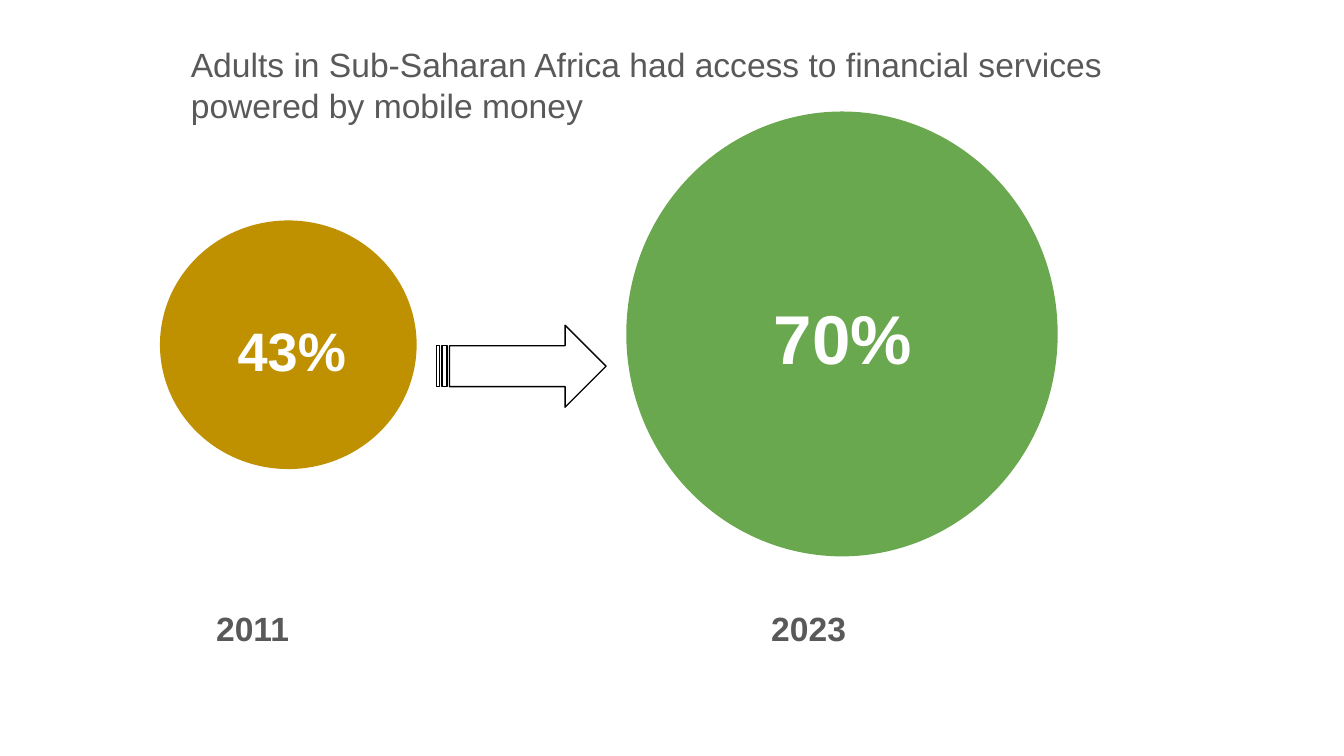
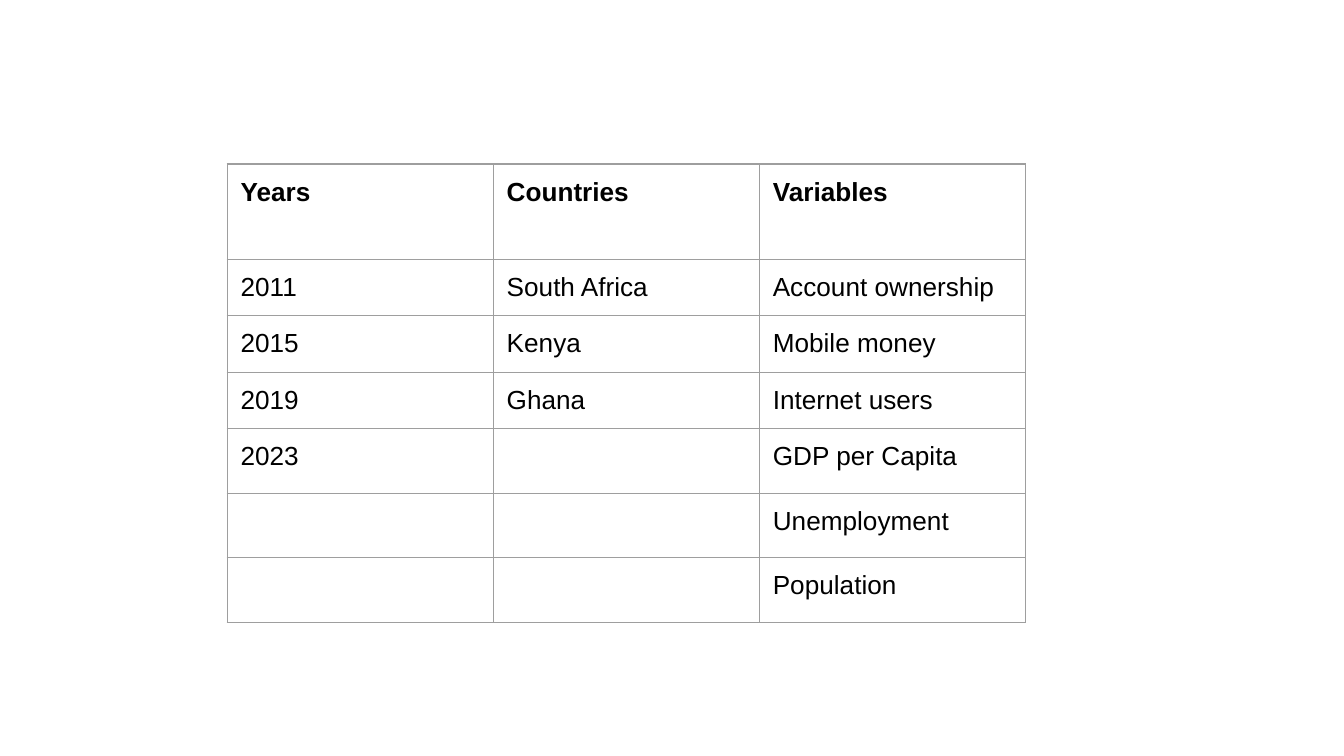
from lxml import etree
from pptx import Presentation
from pptx.dml.color import RGBColor
from pptx.enum.shapes import MSO_SHAPE as SHAPE
from pptx.enum.text import MSO_ANCHOR as ANCHOR, MSO_AUTO_SIZE as AUTO, PP_ALIGN as ALIGN
from pptx.oxml.ns import qn
from pptx.util import Inches, Pt

TITLE_ONLY, BLANK = 5, 6


def rgb(value):
    return RGBColor.from_string(value)


class Deck:
    """Holds the shared style and the current slide, and draws each kind of element."""

    font = "Arial"
    white, black, grey = "FFFFFF", "000000", "595959"
    gold, green, rule = "BF9000", "6AA84F", "9E9E9E"
    inset = Inches(0.1)
    line = Pt(0.75)

    def __init__(self):
        self.prs = Presentation()
        self.prs.slide_width = Inches(10)
        self.prs.slide_height = Inches(10) * 9 // 16

    def new_slide(self, layout):
        self.s = self.prs.slides.add_slide(self.prs.slide_layouts[layout])

    def set_margins(self, box):
        box.margin_left = box.margin_right = self.inset
        box.margin_top = box.margin_bottom = self.inset

    def style(self, p, size, color, bold=False):
        p.alignment = ALIGN.LEFT
        p.font.name, p.font.size, p.font.bold = self.font, Pt(size), bold
        p.font.color.rgb = rgb(color)

    def fill_text(self, sp, text, size, color, bold):
        tf = sp.text_frame
        tf.word_wrap, tf.auto_size, tf.vertical_anchor = True, AUTO.NONE, ANCHOR.TOP
        self.set_margins(tf)
        tf.text = text
        self.style(tf.paragraphs[0], size, color, bold)

    def title(self, text, x, y, w, h):
        sp = self.s.shapes.title
        sp.left, sp.top, sp.width, sp.height = map(Inches, (x, y, w, h))
        self.fill_text(sp, text, 18, self.grey, False)

    def text(self, text, x, y, w, h, size, color):
        sp = self.s.shapes.add_textbox(*map(Inches, (x, y, w, h)))
        self.fill_text(sp, text, size, color, True)

    def shape(self, kind, x, y, w, h, fill=None):
        sp = self.s.shapes.add_shape(kind, *map(Inches, (x, y, w, h)))
        sp.shadow.inherit = False
        if fill:
            sp.fill.solid()
            sp.fill.fore_color.rgb = rgb(fill)
            sp.line.fill.background()
        else:
            sp.fill.background()
            sp.line.color.rgb = rgb(self.black)
            sp.line.width = self.line

    def borders(self, cell):
        props = cell._tc.get_or_add_tcPr()
        for side in ("lnL", "lnR", "lnT", "lnB"):
            ln = etree.SubElement(props, qn(f"a:{side}"), w=str(self.line))
            fill = etree.SubElement(ln, qn("a:solidFill"))
            etree.SubElement(fill, qn("a:srgbClr"), val=self.rule)

    def empty_cell(self, p):
        end = etree.SubElement(p._p, qn("a:endParaRPr"), sz="1800")
        etree.SubElement(end, qn("a:latin"), typeface=self.font)

    def table(self, rows, x, y, col_width, heights):
        n_cols = len(rows[0])
        frame = self.s.shapes.add_table(
            len(rows), n_cols, Inches(x), Inches(y),
            Inches(col_width * n_cols), Inches(sum(heights)))
        table = frame.table
        table.first_row = table.horz_banding = False
        for col in table.columns:
            col.width = Inches(col_width)
        for i, (row, height) in enumerate(zip(rows, heights)):
            table.rows[i].height = Inches(height)
            for j, value in enumerate(row):
                cell = table.cell(i, j)
                self.set_margins(cell)
                self.borders(cell)
                cell.fill.background()
                p = cell.text_frame.paragraphs[0]
                if value:
                    p.text = value
                    self.style(p, 14, self.black, i == 0)
                else:
                    self.empty_cell(p)


def access_slide(deck):
    deck.new_slide(TITLE_ONLY)
    deck.title("Adults in Sub-Saharan Africa had access to financial services "
               "powered by mobile money", 1.32, 0.23, 7.36, 0.61)
    deck.shape(SHAPE.OVAL, 1.19, 1.64, 1.91, 1.85, deck.gold)
    deck.shape(SHAPE.OVAL, 4.66, 0.83, 3.21, 3.31, deck.green)
    deck.shape(SHAPE.STRIPED_RIGHT_ARROW, 3.25, 2.42, 1.26, 0.61)
    deck.text("43%", 1.67, 2.26, 1.26, 0.93, 29, deck.white)
    deck.text("70%", 5.66, 2.1, 1.61, 0.93, 37, deck.white)
    for year, x in (("2011", 1.51), ("2023", 5.64)):
        deck.text(year, x, 4.42, 1.26, 0.4, 18, deck.grey)


def data_slide(deck):
    deck.new_slide(BLANK)
    rows = [
        ("Years", "Countries", "Variables"),
        ("2011", "South Africa", "Account ownership"),
        ("2015", "Kenya", "Mobile money"),
        ("2019", "Ghana", "Internet users"),
        ("2023", "", "GDP per Capita"),
        ("", "", "Unemployment"),
        ("", "", "Population"),
    ]
    deck.table(rows, 1.69, 1.22, 1.98, [0.71] + [0.42] * (len(rows) - 1))


def main():
    deck = Deck()
    access_slide(deck)
    data_slide(deck)
    deck.prs.save("out.pptx")


if __name__ == "__main__":
    main()
